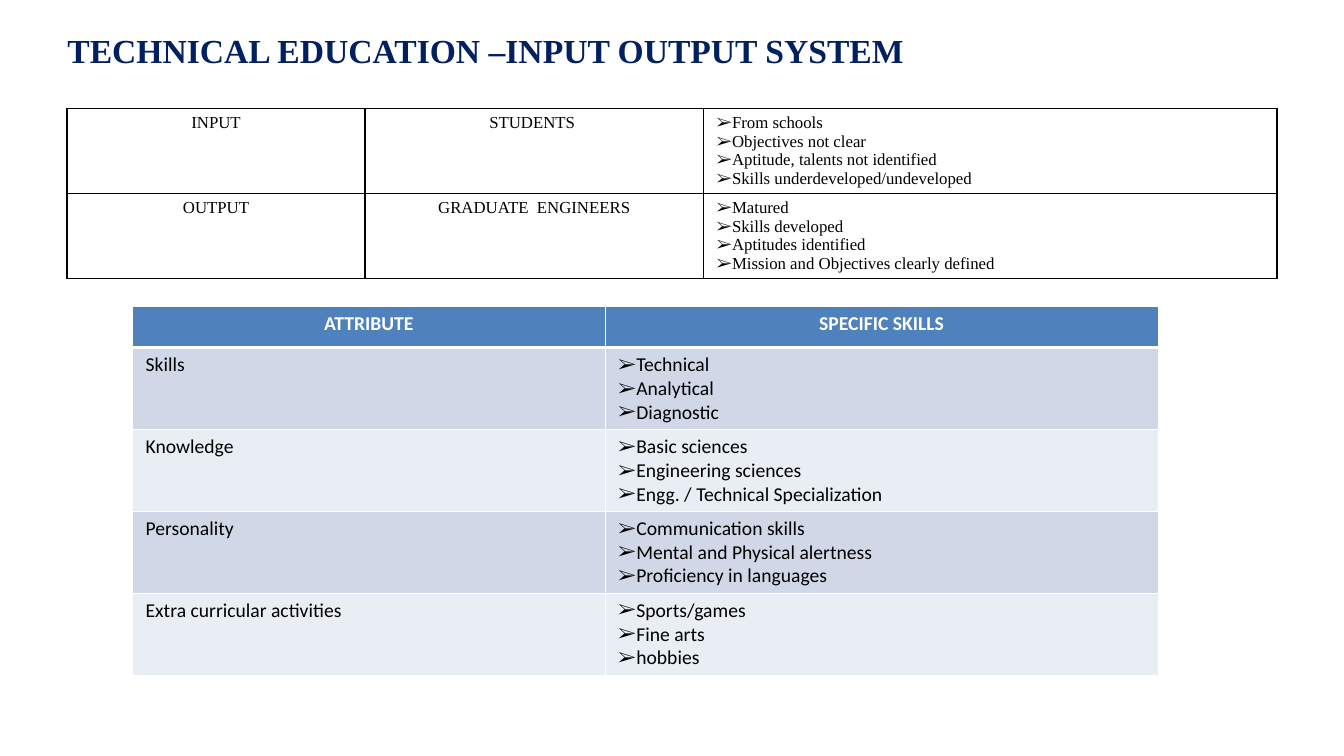
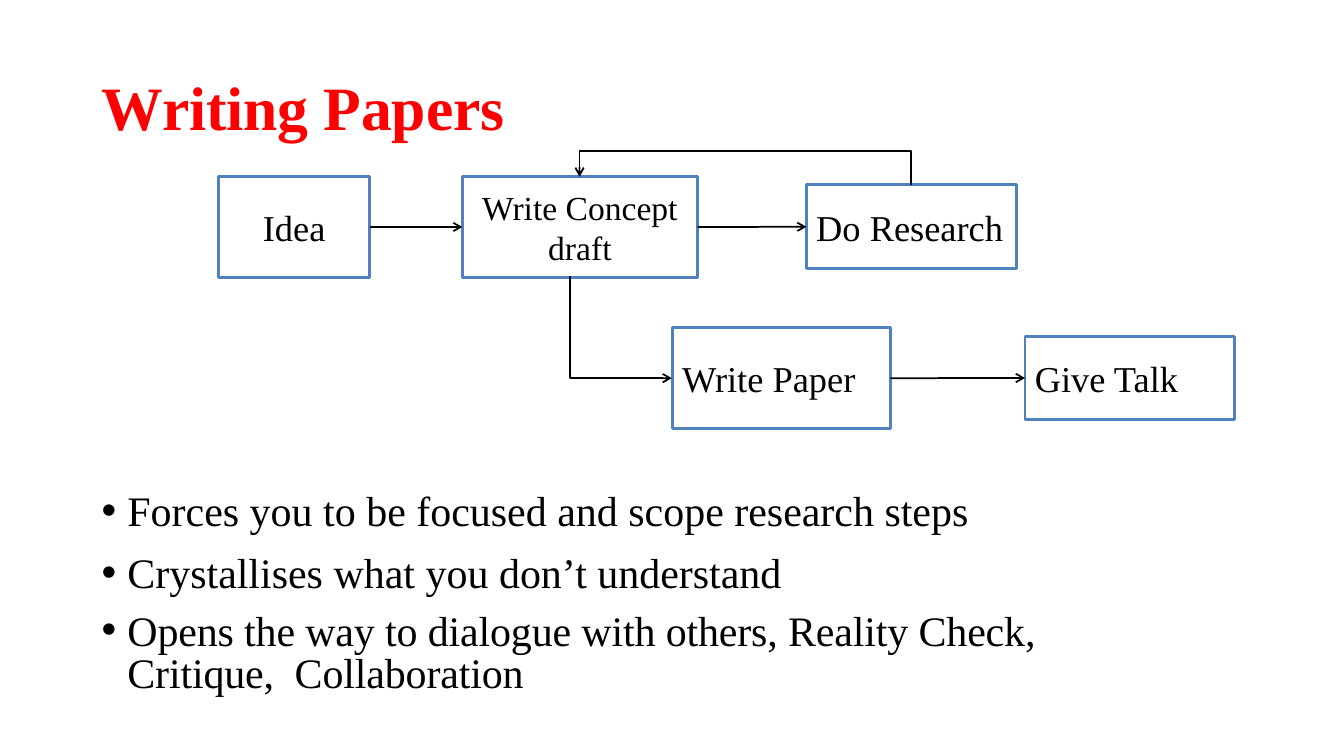
from lxml import etree
from pptx import Presentation
from pptx.dml.color import RGBColor
from pptx.enum.shapes import MSO_CONNECTOR, MSO_SHAPE
from pptx.enum.text import MSO_ANCHOR, MSO_AUTO_SIZE, PP_ALIGN
from pptx.oxml.ns import qn
from pptx.util import Cm, Pt

LEFT, CENTER = PP_ALIGN.LEFT, PP_ALIGN.CENTER
TOP, MIDDLE = MSO_ANCHOR.TOP, MSO_ANCHOR.MIDDLE
NO_FIT = MSO_AUTO_SIZE.NONE
RECT = MSO_SHAPE.RECTANGLE
STRAIGHT, ELBOW = MSO_CONNECTOR.STRAIGHT, MSO_CONNECTOR.ELBOW
TITLE_AND_BODY, TITLE_ONLY = 1, 5
TOP_SITE, LEFT_SITE, BOTTOM_SITE, RIGHT_SITE = range(4)

SERIF, SANS = "Times New Roman", "Calibri"
BLACK, WHITE, NAVY, RED = "000000", "FFFFFF", "002060", "FF0000"
BLUE, BAND_DARK, BAND_LIGHT = "4F81BD", "D0D8E8", "E9EDF4"
ARROW_BULLET, DOT_BULLET = "\u27a2", "\u2022"


def rgb(value):
    """Return the colour of a hex string."""
    return RGBColor.from_string(value)


def sub(parent, tag, **attrs):
    """Append an XML child with the given attributes."""
    child = etree.SubElement(parent, qn(tag))
    for name, value in attrs.items():
        child.set(name, str(value))
    return child


def bullet(p, char, indent=0, font=None):
    """Give a paragraph a bullet and a hanging indent in cm."""
    pPr = p._p.get_or_add_pPr()
    pPr.set("marL", str(Cm(indent)))
    pPr.set("indent", str(-Cm(indent)))
    if font:
        sub(pPr, "a:buFont", typeface=font)
    sub(pPr, "a:buChar", char=char)


def tighten(p, points):
    """Set the letter spacing of a paragraph's runs."""
    for r in p.runs:
        r._r.get_or_add_rPr().set("spc", str(round(points * 100)))


def border(cell, color, bottom=1):
    """Draw the four borders of a cell, with a bottom width in points."""
    tcPr = cell._tc.get_or_add_tcPr()
    for side, width in (("L", 1), ("R", 1), ("T", 1), ("B", bottom)):
        ln = sub(tcPr, "a:ln" + side, w=Pt(width))
        sub(sub(ln, "a:solidFill"), "a:srgbClr", val=color)


class Deck:
    """Holds the presentation, its style and the current slide."""

    def __init__(self):
        self.prs = Presentation()
        self.prs.slide_width, self.prs.slide_height = Cm(33.87), Cm(19.05)
        self.s = None

    def slide(self, layout):
        """Start a new slide."""
        self.s = self.prs.slides.add_slide(self.prs.slide_layouts[layout])

    def style(self, p, size, font=SERIF, color=BLACK, bold=False, align=LEFT):
        """Format a paragraph and its runs."""
        p.alignment = align
        for r in p.runs:
            r.font.size, r.font.name, r.font.bold = Pt(size), font, bold
            r.font.color.rgb = rgb(color)

    def frame(self, sp, x, y, w, h, inset_top=0):
        """Place a placeholder and return its text frame."""
        sp.left, sp.top, sp.width, sp.height = Cm(x), Cm(y), Cm(w), Cm(h)
        tf = sp.text_frame
        tf.margin_left = tf.margin_right = tf.margin_bottom = 0
        tf.margin_top = Cm(inset_top)
        tf.vertical_anchor, tf.auto_size, tf.word_wrap = TOP, NO_FIT, True
        return tf

    def title(self, text, x, y, w, h, size, color, inset_top=0, spacing=0):
        """Fill the title placeholder."""
        tf = self.frame(self.s.shapes.title, x, y, w, h, inset_top)
        tf.text = text
        self.style(tf.paragraphs[0], size, color=color, bold=True)
        tighten(tf.paragraphs[0], spacing)

    def body(self, items, x, y, w, h, size, inset_top):
        """Fill the body with (text, space before, line height, spacing)."""
        tf = self.frame(self.s.placeholders[1], x, y, w, h, inset_top)
        tf.text = "\n".join(item[0] for item in items)
        for p, (_, before, line, spacing) in zip(tf.paragraphs, items):
            self.style(p, size)
            tighten(p, spacing)
            p.space_before, p.line_spacing = Pt(before), line
            bullet(p, DOT_BULLET, 0.65)

    def table(self, rows, x, y, widths, heights):
        """Add a plain table and return it; a list in a cell is bulleted."""
        shape = self.s.shapes.add_table(len(rows), len(widths), Cm(x), Cm(y),
                                        Cm(sum(widths)), Cm(sum(heights)))
        table = shape.table
        table.first_row = table.horz_banding = False
        for col, width in zip(table.columns, widths):
            col.width = Cm(width)
        for row, height, texts in zip(table.rows, heights, rows):
            row.height = Cm(height)
            for cell, text in zip(row.cells, texts):
                self.cell(cell, text)
        return table

    def cell(self, cell, text):
        """Write text, or a bulleted list, into a cell."""
        cell.margin_left = cell.margin_right = Cm(0.33)
        cell.margin_top = cell.margin_bottom = Cm(0.13)
        listed = isinstance(text, list)
        cell.text_frame.text = "\n".join(text) if listed else text
        if listed:
            for p in cell.text_frame.paragraphs:
                bullet(p, ARROW_BULLET, font=SERIF)

    def box(self, text, x, y, w, h, size=26, align=LEFT):
        """Add an outlined box with text."""
        sp = self.s.shapes.add_shape(RECT, Cm(x), Cm(y), Cm(w), Cm(h))
        sp.shadow.inherit = False
        sp.fill.solid()
        sp.fill.fore_color.rgb = rgb(WHITE)
        sp.line.color.rgb, sp.line.width = rgb(BLUE), Pt(2)
        tf = sp.text_frame
        tf.text, tf.word_wrap, tf.vertical_anchor = text, True, MIDDLE
        self.style(tf.paragraphs[0], size, align=align)
        return sp

    def arrow(self, kind, x1=0, y1=0, x2=0, y2=0):
        """Add a connector with an open arrowhead at its end."""
        c = self.s.shapes.add_connector(kind, Cm(x1), Cm(y1), Cm(x2), Cm(y2))
        c.line.color.rgb, c.line.width = rgb(BLACK), Pt(1.25)
        spPr = c._element.spPr
        sub(spPr.find(qn("a:ln")), "a:tailEnd", type="arrow")
        sub(spPr, "a:effectLst")
        return c

    def link(self, start, end):
        """Join the right side of one box to the left side of another."""
        c = self.arrow(STRAIGHT)
        c.begin_connect(start, RIGHT_SITE)
        c.end_connect(end, LEFT_SITE)

    def elbow(self, x1, y1, x2, y2, bend, turn=0):
        """Add a bent arrow; bend is a share of its width, turn in degrees."""
        c = self.arrow(ELBOW, x1, y1, x2, y2)
        spPr = c._element.spPr
        spPr.find(qn("a:xfrm")).set("rot", str(turn * 60000))
        guides = spPr.find(qn("a:prstGeom")).find(qn("a:avLst"))
        sub(guides, "a:gd", name="adj1", fmla=f"val {round(bend * 100000)}")


def education(deck):
    """Build the slide with the two tables."""
    deck.slide(TITLE_ONLY)
    deck.title("TECHNICAL EDUCATION \u2013INPUT OUTPUT SYSTEM",
               1.7, 0.76, 30.48, 1.96, 24, NAVY)

    stages = deck.table([
        ["INPUT", "STUDENTS ",
         ["From schools", "Objectives not clear",
          "Aptitude, talents not identified",
          "Skills underdeveloped/undeveloped"]],
        ["OUTPUT", "GRADUATE  ENGINEERS",
         ["Matured", "Skills developed", "Aptitudes identified",
          "Mission and Objectives clearly defined"]],
    ], 1.69, 2.73, [7.51, 8.53, 14.45], [2.12] * 2)
    for row in stages.rows:
        for j, cell in enumerate(row.cells):
            border(cell, BLACK)
            cell.fill.background()
            for p in cell.text_frame.paragraphs:
                deck.style(p, 12, align=CENTER if j < 2 else LEFT)

    skills = deck.table([
        ["ATTRIBUTE", "SPECIFIC SKILLS"],
        ["Skills", ["Technical", "Analytical", "Diagnostic"]],
        ["Knowledge", ["Basic sciences", "Engineering sciences",
                       "Engg. / Technical Specialization"]],
        ["Personality", ["Communication skills ",
                         "Mental and Physical alertness",
                         "Proficiency in languages"]],
        ["Extra curricular activities",
         ["Sports/games", "Fine arts", "hobbies"]],
    ], 3.34, 7.73, [11.91, 13.94], [1.03] + [2.05] * 4)
    for i, row in enumerate(skills.rows):
        head = i == 0
        fill = BLUE if head else BAND_DARK if i % 2 else BAND_LIGHT
        for cell in row.cells:
            border(cell, WHITE, 3 if head else 1)
            cell.fill.solid()
            cell.fill.fore_color.rgb = rgb(fill)
            for p in cell.text_frame.paragraphs:
                deck.style(p, 14, SANS, WHITE if head else BLACK, head,
                           CENTER if head else LEFT)


def papers(deck):
    """Build the slide with the flow of boxes and the list."""
    deck.slide(TITLE_AND_BODY)
    deck.title("Writing Papers", 2.57, 1.7, 15.44, 1.93, 44, RED, 0.04, -0.1)
    deck.body([
        ("Forces you to be focused and scope research steps", 0, 1.0, 0),
        ("Crystallises what you don\u2019t understand", 8, 1.0, 0),
        ("Opens the way to dialogue with others, Reality Check, "
         "Critique,  Collaboration", 11.1, Pt(30), -0.1),
    ], 2.56, 10.36, 27.08, 7.29, 30, 1.86)

    idea = deck.box("Idea", 5.51, 4.45, 3.81, 2.54, align=CENTER)
    draft = deck.box("Write Concept draft", 11.65, 4.45, 5.93, 2.54, 24, CENTER)
    research = deck.box("Do Research", 20.32, 4.66, 5.29, 2.11)
    paper = deck.box("Write Paper", 16.94, 8.26, 5.5, 2.54)
    talk = deck.box("Give Talk", 25.83, 8.47, 5.29, 2.11)

    for start, end in ((idea, draft), (draft, research), (paper, talk)):
        deck.link(start, end)
    deck.elbow(14.39, 6.99, 16.93, 9.53, -0.01)
    deck.elbow(18.68, 8.74, 18.89, 0.38, 4.1, turn=270)


deck = Deck()
education(deck)
papers(deck)
deck.prs.save("out.pptx")
